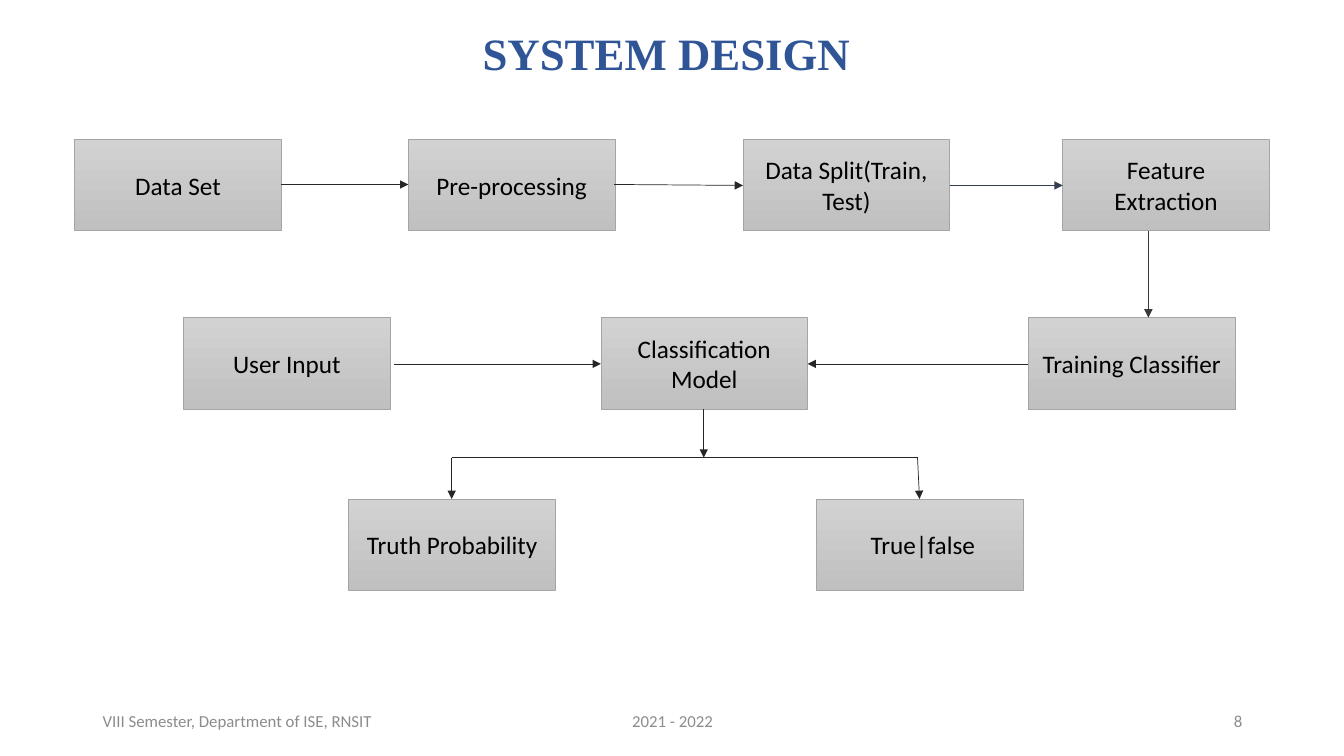
from pptx import Presentation
from pptx.dml.color import RGBColor
from pptx.enum.shapes import MSO_CONNECTOR, MSO_SHAPE
from pptx.enum.text import MSO_ANCHOR as Anchor, PP_ALIGN as Align
from pptx.oxml.ns import qn
from pptx.util import Inches, Pt
from lxml.etree import SubElement

BLUE = RGBColor(0x2F, 0x55, 0x97)
FOOTER_GRAY = RGBColor(0x8C, 0x8C, 0x8C)
BOX_TOP = RGBColor(0xD2, 0xD2, 0xD2)
BOX_BOTTOM = RGBColor(0xC0, 0xC0, 0xC0)
BOX_LINE = RGBColor(0xA5, 0xA5, 0xA5)
BLACK = RGBColor(0, 0, 0)
DARK = RGBColor(0x26, 0x26, 0x26)
SLATE = RGBColor(0x33, 0x3F, 0x50)
BROWN = RGBColor(0x3B, 0x38, 0x38)

BOX_WIDTH, BOX_HEIGHT = 2.05, 0.91
ROW_1, ROW_2, ROW_3 = 1.38, 3.15, 4.95
MIDDLE_1, MIDDLE_2 = ROW_1 + 0.46, ROW_2 + 0.46
FORK = 4.54

# Label, left, top
STEPS = [
    ("Data Set", 0.74, ROW_1),
    ("Pre-processing", 4.05, ROW_1),
    ("Data Split(Train,\nTest)", 7.37, ROW_1),
    ("Feature Extraction", 10.54, ROW_1),
    ("User Input", 1.82, ROW_2),
    ("Classification\nModel", 5.96, ROW_2),
    ("Training Classifier", 10.2, ROW_2),
    ("Truth Probability", 3.46, ROW_3),
    (" True|false", 8.1, ROW_3),
]

# Start x, start y, end x, end y, colour, has arrowhead
FLOWS = [
    (2.79, 1.83, 4.05, 1.83, DARK, True),
    (6.09, 1.83, 7.37, MIDDLE_1, DARK, True),
    (9.42, MIDDLE_1, 10.54, MIDDLE_1, SLATE, True),
    (11.39, 2.29, 11.39, ROW_2, BROWN, True),
    (10.2, MIDDLE_2, 8.01, MIDDLE_2, DARK, True),
    (3.91, MIDDLE_2, 5.96, MIDDLE_2, DARK, True),
    (6.98, 4.06, 6.98, FORK, DARK, True),
    (4.48, FORK, 9.1, FORK, DARK, False),
    (4.48, FORK, 4.48, ROW_3, DARK, True),
    (9.1, FORK, 9.12, ROW_3, DARK, True),
]

# Text, left, width, alignment
FOOTERS = [
    ("VIII Semester, Department of ISE, RNSIT", 0.92, 3, Align.LEFT),
    ("2021 - 2022", 4.42, 4.5, Align.CENTER),
    ("8", 9.42, 3, Align.RIGHT),
]


def write(shape, text, size, color, align, name="Calibri", bold=False):
    frame = shape.text_frame
    frame.word_wrap = True
    frame.vertical_anchor = Anchor.MIDDLE
    frame.text = text
    for para in frame.paragraphs:
        para.alignment = align
        para.font.size = Pt(size)
        para.font.name = name
        para.font.bold = bold
        para.font.color.rgb = color


def set_title(page, text):
    title = page.shapes.title
    title.left, title.top = Inches(4.46), Inches(0.28)
    title.width, title.height = Inches(4.3), Inches(1.1)
    write(title, text, 32, BLUE, Align.CENTER, "Times New Roman", True)
    frame = title.text_frame
    frame.vertical_anchor = Anchor.BOTTOM
    frame.margin_bottom = Inches(0.58)
    frame.paragraphs[0].line_spacing = 0.9


def add_footer(page, text, left, width, align):
    box = page.shapes.add_textbox(Inches(left), Inches(6.95), Inches(width), Inches(0.4))
    write(box, text, 12, FOOTER_GRAY, align)


def add_step(page, text, left, top):
    box = page.shapes.add_shape(MSO_SHAPE.RECTANGLE, Inches(left), Inches(top),
                                Inches(BOX_WIDTH), Inches(BOX_HEIGHT))
    box.shadow.inherit = False
    box.fill.gradient()
    box.fill.gradient_angle = 270
    for stop, color, position in zip(box.fill.gradient_stops, (BOX_TOP, BOX_BOTTOM), (0, 1)):
        stop.color.rgb = color
        stop.position = position
    box.line.color.rgb = BOX_LINE
    box.line.width = Pt(0.5)
    write(box, text, 18, BLACK, Align.CENTER)


def add_flow(page, x1, y1, x2, y2, color, arrow):
    flow = page.shapes.add_connector(MSO_CONNECTOR.STRAIGHT, Inches(x1), Inches(y1),
                                     Inches(x2), Inches(y2))
    flow.line.color.rgb = color
    flow.line.width = Pt(0.5)
    properties = flow._element.spPr
    if arrow:
        SubElement(properties.find(qn("a:ln")), qn("a:tailEnd"), type="triangle")
    SubElement(properties, qn("a:effectLst"))


def main():
    deck = Presentation()
    deck.slide_width, deck.slide_height = Inches(13.33), Inches(7.5)
    page = deck.slides.add_slide(deck.slide_layouts[5])

    # Title and footer
    set_title(page, "SYSTEM DESIGN")
    for footer in FOOTERS:
        add_footer(page, *footer)

    # Flow chart
    for step in STEPS:
        add_step(page, *step)
    for flow in FLOWS:
        add_flow(page, *flow)

    deck.save("out.pptx")


main()
